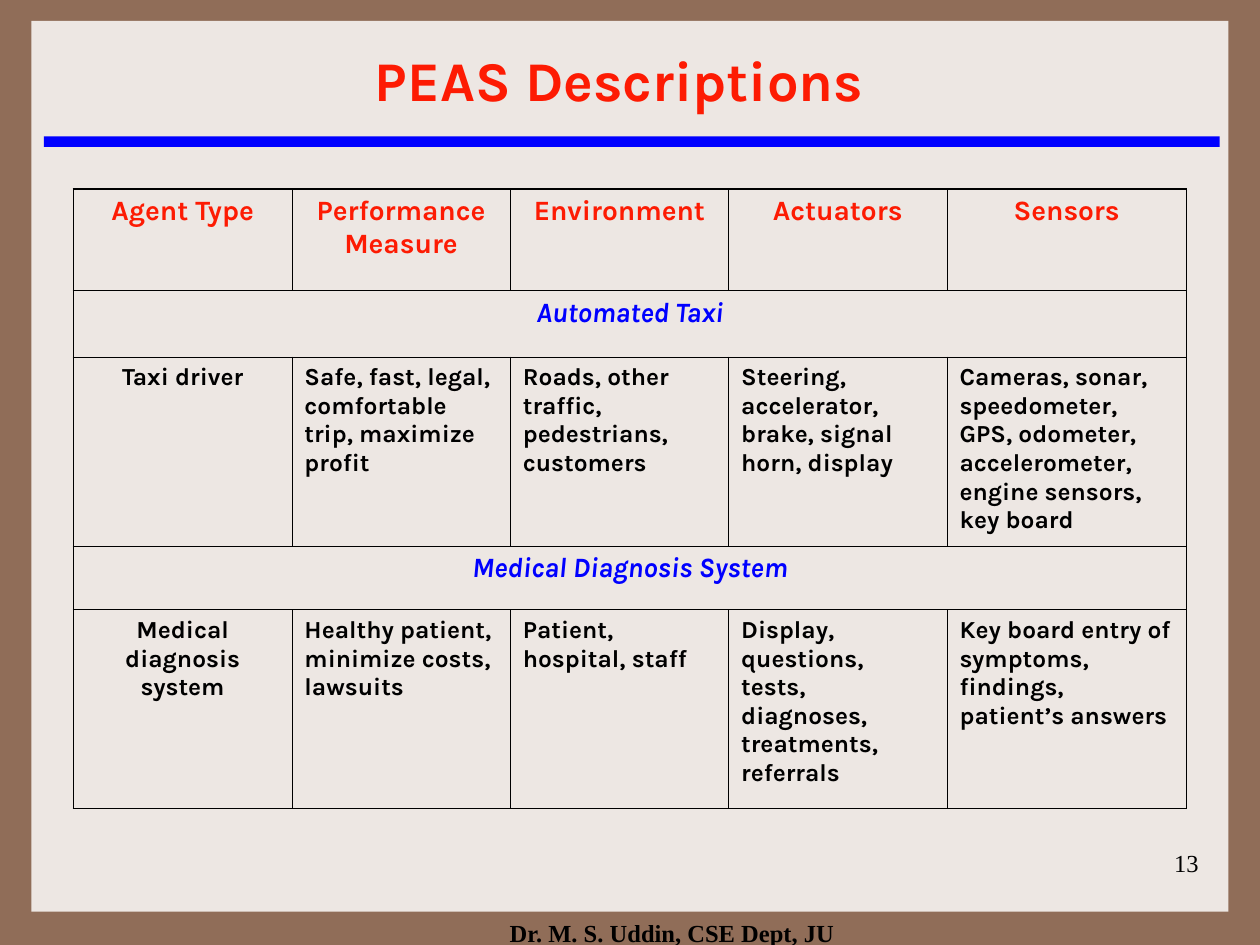
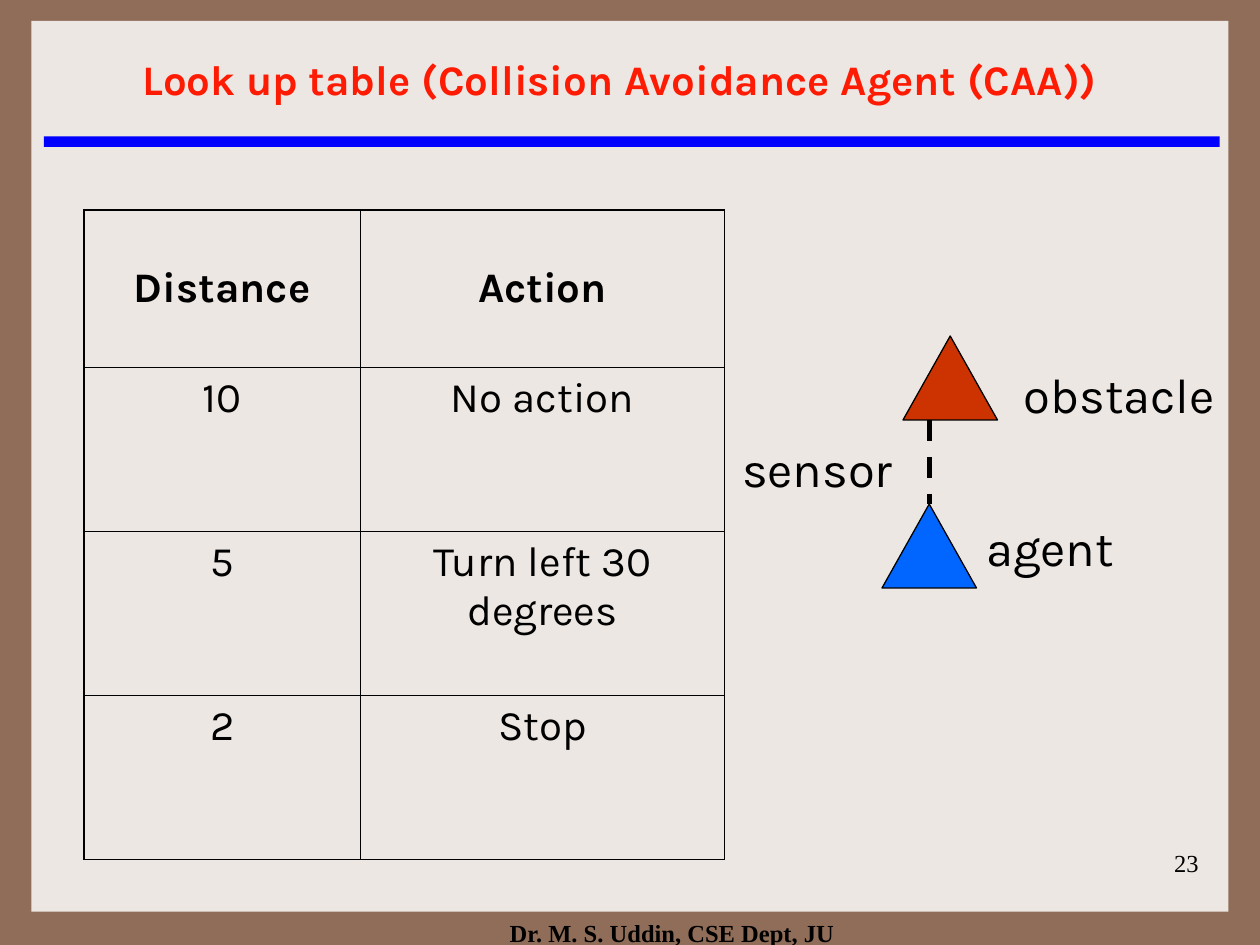
from lxml.etree import SubElement as Sub
from pptx import Presentation
from pptx.dml.color import RGBColor as RGB
from pptx.enum.dml import MSO_LINE as Dash
from pptx.enum.shapes import MSO_CONNECTOR as Link, MSO_SHAPE as Kind
from pptx.enum.text import MSO_ANCHOR as Anchor, MSO_AUTO_SIZE as Fit, PP_ALIGN as Align
from pptx.oxml.ns import qn
from pptx.util import Pt

BROWN = RGB(0x90, 0x6D, 0x58)
CREAM = RGB(0xED, 0xE7, 0xE3)
BLUE = RGB(0x00, 0x00, 0xFF)
RED = RGB(0xFD, 0x1B, 0x03)
BLACK = RGB(0x00, 0x00, 0x00)
SKY = RGB(0x00, 0x66, 0xFF)
RUST = RGB(0xCC, 0x33, 0x00)

KARLA, TIMES = "Karla", "Times New Roman"
NO_GRID = "{2D5ABB26-0587-4C30-8999-92F81FD0307C}"
THICK, THIN = 1.08, 0.45

BANDS = [((18, 12, 684, 509), CREAM), ((25, 78, 672, 6), BLUE)]
FOOTER = "Dr. M. S. Uddin, CSE Dept, JU"

PEAS = [
    ["Agent Type", "Performance Measure", "Environment", "Actuators", "Sensors"],
    ["Automated Taxi"],
    ["Taxi driver",
     "Safe, fast, legal, comfortable trip, maximize profit",
     "Roads, other traffic, pedestrians, customers",
     "Steering, accelerator, brake, signal horn, display",
     "Cameras, sonar, speedometer, GPS, odometer, accelerometer, engine sensors, key board"],
    ["Medical Diagnosis System"],
    ["Medical diagnosis system",
     "Healthy patient, minimize costs, lawsuits",
     "Patient, hospital, staff",
     "Display, questions, tests, diagnoses, treatments, referrals",
     "Key board entry of symptoms, findings, patient’s answers"],
]
LOOKUP = [
    ["Distance", "Action"],
    ["10", "No action"],
    ["5", "Turn left 30 degrees"],
    ["2", "Stop"],
]
LABELS = [
    ("obstacle", (578, 205, 124, 41)),
    ("agent", (556.5, 292, 90, 41)),
    ("sensor", (417, 247, 102, 41)),
]
AGENT = (504, 288, 54, 48)
BLOCK = (516, 192, 54, 48)

NOTE = dict(name=TIMES, size=Pt(14), bold=False, rgb=BLACK)
HEAD = dict(name=KARLA, size=Pt(16), bold=True, rgb=RED)
GROUP = dict(HEAD, italic=True, rgb=BLUE)
ENTRY = dict(HEAD, size=Pt(14), rgb=BLACK)
LABEL = dict(name=KARLA, size=Pt(28), bold=False, rgb=BLACK)
VALUE = dict(LABEL, size=Pt(24))


def pts(box):
    return [Pt(n) for n in box]


def write(frame, text, form, align=Align.LEFT):
    para = frame.paragraphs[0]
    para.alignment = align
    run = para.add_run()
    run.text = text
    for key, val in form.items():
        setattr(run.font.color if key == "rgb" else run.font, key, val)


def add_text(shapes, text, box, form, align=Align.LEFT, wrap=True):
    frame = shapes.add_textbox(*pts(box)).text_frame
    frame.word_wrap = wrap
    frame.auto_size = Fit.NONE if wrap else Fit.SHAPE_TO_FIT_TEXT
    write(frame, text, form, align)


def add_shape(shapes, kind, box, fill, edge=None):
    shape = shapes.add_shape(kind, *pts(box))
    shape.shadow.inherit = False
    shape.fill.solid()
    shape.fill.fore_color.rgb = fill
    if edge is None:
        shape.line.fill.background()
    else:
        shape.line.color.rgb = edge
        shape.line.width = Pt(0.75)
    return shape


def set_master(deck, slide):
    master = deck.slide_master
    master.background.fill.solid()
    master.background.fill.fore_color.rgb = BROWN
    for n, (box, fill) in enumerate(BANDS):
        band = add_shape(slide.shapes, Kind.RECTANGLE, box, fill)
        band.element.nvSpPr.cNvPr.id = 100 + n
        master.shapes.element.insert(2 + n, band.element)


def set_frame(slide, title, size, left, page):
    head = slide.shapes.title
    head.left, head.top, head.width, head.height = pts((left, 30, 708 - 2 * left, 30))
    frame = head.text_frame
    frame.auto_size = Fit.NONE
    frame.vertical_anchor = Anchor.MIDDLE
    write(frame, title, dict(HEAD, size=Pt(size)), Align.CENTER)
    add_text(slide.shapes, FOOTER, (270, 521, 228, 19), dict(NOTE, bold=True), Align.CENTER)
    add_text(slide.shapes, str(page), (542, 481, 150, 36), NOTE, Align.RIGHT)


def set_edges(cell, outer):
    props = cell._tc.get_or_add_tcPr()
    for n, (side, out) in enumerate(outer.items()):
        line = Sub(props, qn("a:ln" + side), w=str(Pt(THICK if out else THIN)))
        fill = Sub(line, qn("a:solidFill"))
        Sub(fill, qn("a:srgbClr"), val=str(BLACK))
        props.insert(n, line)


def add_grid(slide, rows, spot, wide, high, style):
    box = (*spot, sum(wide), sum(high))
    frame = slide.shapes.add_table(len(high), len(wide), *pts(box))
    frame.element.xpath(".//a:tableStyleId")[0].text = NO_GRID
    grid = frame.table
    grid.first_row = grid.horz_banding = False
    for col, size in zip(grid.columns, wide):
        col.width = Pt(size)
    for row, size in zip(grid.rows, high):
        row.height = Pt(size)
    for r, row in enumerate(rows):
        if len(row) == 1:
            grid.cell(r, 0).merge(grid.cell(r, len(wide) - 1))
        for c, text in enumerate(row):
            cell = grid.cell(r, c)
            form, align, cell.vertical_anchor = style(r, c, len(row))
            write(cell.text_frame, text, form, align)
            cell.fill.background()
            set_edges(cell, dict(
                L=c == 0, R=c + cell.span_width == len(wide),
                T=r == 0, B=r == len(high) - 1))


def peas_style(r, c, count):
    form = HEAD if r == 0 else GROUP if count == 1 else ENTRY
    align = Align.LEFT if form is ENTRY and c else Align.CENTER
    return form, align, Anchor.TOP


def look_style(r, c, count):
    if r == 0:
        return dict(VALUE, bold=True), Align.CENTER, Anchor.MIDDLE
    return VALUE, Align.CENTER, Anchor.TOP


def add_scene(slide):
    shapes = slide.shapes.add_group_shape().shapes
    for text, box in LABELS:
        add_text(shapes, text, box, LABEL, wrap=False)
    agent = add_shape(shapes, Kind.ISOSCELES_TRIANGLE, AGENT, SKY, BLACK)
    x, y, w, h = AGENT
    mid, base = x + w / 2, BLOCK[1] + BLOCK[3]
    beam = shapes.add_connector(Link.STRAIGHT, *pts((mid, base, mid, y)))
    beam.end_connect(agent, 0)
    beam.line.color.rgb = BLACK
    beam.line.width = Pt(3)
    beam.line.dash_style = Dash.DASH
    Sub(beam.element.spPr, qn("a:effectLst"))
    add_shape(shapes, Kind.ISOSCELES_TRIANGLE, BLOCK, RUST, BLACK)


def main():
    deck = Presentation()
    deck.slide_width, deck.slide_height = Pt(720), Pt(540)
    plain = deck.slide_layouts[5]

    slide = deck.slides.add_slide(plain)
    set_master(deck, slide)
    set_frame(slide, "PEAS Descriptions", 32, 24, 13)
    add_grid(slide, PEAS, (42, 108), [124.8] * 4 + [136.8],
             [58, 38, 108, 36.5, 113.5], peas_style)

    slide = deck.slides.add_slide(plain)
    set_frame(slide, "Look up table (Collision Avoidance Agent (CAA))", 24, 54, 23)
    add_scene(slide)
    add_grid(slide, LOOKUP, (48, 120), [158, 208], [90] + [93.75] * 3, look_style)

    deck.save("out.pptx")


if __name__ == "__main__":
    main()
